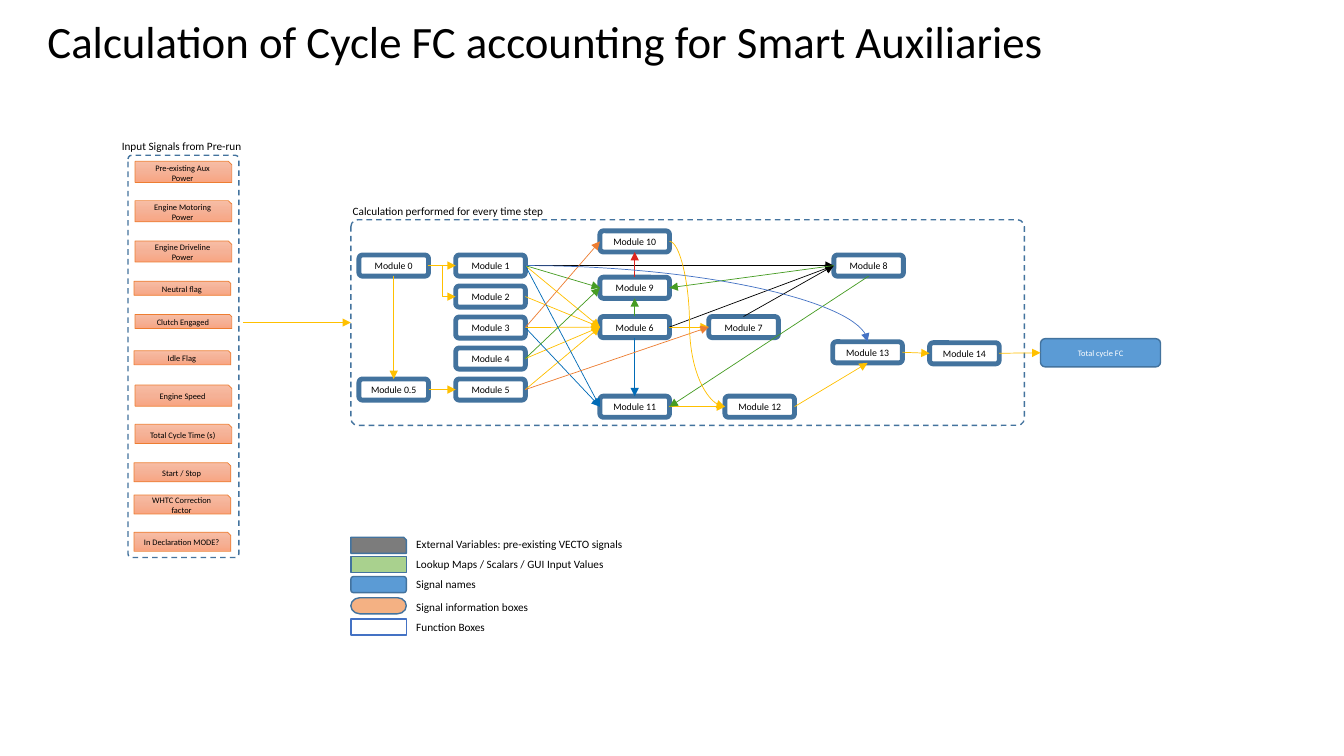
import copy
from dataclasses import dataclass

import pptx
import pptx.dml.color
import pptx.enum.dml
import pptx.enum.shapes
import pptx.enum.text
import pptx.oxml
import pptx.oxml.ns
import pptx.util

Inches = pptx.util.Inches
SHAPE = pptx.enum.shapes.MSO_SHAPE
CONNECTOR = pptx.enum.shapes.MSO_CONNECTOR
ALIGN = pptx.enum.text.PP_ALIGN
ANCHOR = pptx.enum.text.MSO_ANCHOR
TOP, LEFT, BOTTOM, RIGHT = range(4)


@dataclass(frozen=True)
class Theme:
    font: str = "Calibri"
    title: int = 32
    label: int = 8
    module: int = 7
    signal: int = 6
    black: str = "000000"
    white: str = "FFFFFF"
    outline: str = "43739E"
    blue: str = "5B9BD5"
    royal: str = "4472C4"
    teal: str = "006BB7"
    gold: str = "FFC000"
    green: str = "469C23"
    red: str = "DC241F"
    orange: str = "ED7D31"
    grey: str = "7C7C7C"
    light_green: str = "A9D18E"
    peach: str = "F4B183"
    signal_gradient: tuple = ("F7BDA5", "F5B196", "F8A582")


THEME = Theme()

FIRST_ROW, LAST_ROW = 2.53, 3.76
ROW_STEP = (LAST_ROW - FIRST_ROW) / 4
MODULES = {
    "0": (3.56, FIRST_ROW), "0.5": (3.56, LAST_ROW),
    **{str(n + 1): (4.52, FIRST_ROW + n * ROW_STEP) for n in range(5)},
    "10": (5.95, 2.29), "9": (5.95, 2.75), "6": (5.95, 3.14), "11": (5.95, 3.93),
    "7": (7.03, 3.14), "12": (7.19, 3.93),
    "8": (8.27, FIRST_ROW), "13": (8.26, 3.39), "14": (9.22, 3.4),
}

# Straight links: colour, then (source, side, target, side)
LINKS = {
    THEME.gold: [
        ("0", RIGHT, "1", LEFT), ("0", BOTTOM, "0.5", TOP), ("0.5", RIGHT, "5", LEFT),
        *[(str(n), RIGHT, "6", LEFT) for n in range(1, 6)],
        ("6", RIGHT, "7", LEFT), ("11", RIGHT, "12", LEFT), ("12", RIGHT, "13", BOTTOM),
        ("13", RIGHT, "14", LEFT), ("14", RIGHT, "total", LEFT),
    ],
    THEME.black: [("1", RIGHT, "8", LEFT), ("6", RIGHT, "8", LEFT), ("7", TOP, "8", LEFT)],
    THEME.teal: [("1", RIGHT, "11", LEFT), ("3", RIGHT, "11", LEFT), ("6", BOTTOM, "11", TOP)],
    THEME.green: [
        ("1", RIGHT, "9", LEFT), ("4", RIGHT, "9", LEFT), ("6", TOP, "9", BOTTOM),
        ("8", LEFT, "9", RIGHT), ("8", BOTTOM, "11", RIGHT),
    ],
    THEME.red: [("9", TOP, "10", BOTTOM)],
    THEME.orange: [("5", RIGHT, "7", LEFT), ("3", RIGHT, "10", LEFT)],
}

# Left, top, height
SIGNALS = {
    "Pre-existing Aux Power": (1.34, 1.6, 0.21),
    "Engine Motoring Power": (1.34, 1.99, 0.21),
    "Engine Driveline Power": (1.34, 2.39, 0.21),
    "Neutral flag": (1.33, 2.79, 0.14),
    "Clutch Engaged": (1.34, 3.12, 0.14),
    "Idle Flag": (1.33, 3.48, 0.14),
    "Engine Speed": (1.34, 3.82, 0.21),
    "Total Cycle Time (s)": (1.34, 4.21, 0.19),
    "Start / Stop": (1.33, 4.59, 0.19),
    "WHTC Correction factor": (1.33, 4.91, 0.19),
    "In Declaration MODE?": (1.33, 5.28, 0.19),
}

# Label, label top, swatch top, swatch shape, fill, outline
LEGEND = [
    ("External Variables: pre-existing VECTO signals", 5.28, 5.33,
     SHAPE.SNIP_1_RECTANGLE, THEME.grey, THEME.outline),
    ("Lookup Maps / Scalars / GUI Input Values", 5.48, 5.52,
     SHAPE.RECTANGLE, THEME.light_green, THEME.outline),
    ("Signal names", 5.68, 5.72, SHAPE.ROUNDED_RECTANGLE, THEME.blue, THEME.outline),
    ("Signal information boxes", 5.91, 5.93,
     SHAPE.FLOWCHART_TERMINATOR, THEME.peach, THEME.outline),
    ("Function Boxes", 6.11, 6.14, SHAPE.RECTANGLE, THEME.white, THEME.royal),
]


def rgb(code):
    return pptx.dml.color.RGBColor.from_string(code)


def write(frame, text, size, color=THEME.black, align=ALIGN.LEFT, anchor=ANCHOR.TOP, wrap=True):
    frame.text = text
    frame.word_wrap = wrap
    frame.vertical_anchor = anchor
    paragraph = frame.paragraphs[0]
    paragraph.alignment = align
    font = paragraph.runs[0].font
    font.name, font.size = THEME.font, pptx.util.Pt(size)
    font.color.rgb = rgb(color)


def add_label(slide, text, left, top, width):
    label = slide.shapes.add_textbox(Inches(left), Inches(top), Inches(width), Inches(0.24))
    write(label.text_frame, text, THEME.label, wrap=False)


def add_box(slide, kind, left, top, width, height, fill=None, outline=THEME.outline, weight=1):
    box = slide.shapes.add_shape(kind, Inches(left), Inches(top), Inches(width), Inches(height))
    box.shadow.inherit = False
    if fill:
        box.fill.solid()
        box.fill.fore_color.rgb = rgb(fill)
    else:
        box.fill.background()
    box.line.color.rgb = rgb(outline)
    box.line.width = pptx.util.Pt(weight)
    return box


def add_frame(slide, *bounds):
    frame = add_box(slide, SHAPE.ROUNDED_RECTANGLE, *bounds)
    frame.adjustments[0] = 0.034
    frame.line.dash_style = pptx.enum.dml.MSO_LINE.DASH
    return frame


def add_module(slide, number, left, top):
    module = add_box(slide, SHAPE.ROUNDED_RECTANGLE, left, top, 0.69, 0.21,
                     fill=THEME.white, weight=3.5)
    write(module.text_frame, f"Module {number}", THEME.module,
          align=ALIGN.CENTER, anchor=ANCHOR.MIDDLE)
    return module


def add_signal(slide, text, left, top, height):
    signal = add_box(slide, SHAPE.SNIP_1_RECTANGLE, left, top, 0.96, height,
                     outline=THEME.orange, weight=0.5)
    signal.fill.gradient()
    signal.fill.gradient_angle = 270
    stops = signal._element.spPr.find(".//" + pptx.oxml.ns.qn("a:gsLst"))
    stops.insert(1, copy.deepcopy(stops[0]))
    for index, stop in enumerate(signal.fill.gradient_stops):
        stop.position = index / 2
        stop.color.rgb = rgb(THEME.signal_gradient[index])
    write(signal.text_frame, text, THEME.signal, align=ALIGN.CENTER, anchor=ANCHOR.MIDDLE)


def side_point(box, side):
    x = {LEFT: box.left, RIGHT: box.left + box.width}.get(side, box.left + box.width // 2)
    y = {TOP: box.top, BOTTOM: box.top + box.height}.get(side, box.top + box.height // 2)
    return x, y


def add_arrow(slide, start, end, color, kind=CONNECTOR.STRAIGHT):
    arrow = slide.shapes.add_connector(kind, *start, *end)
    arrow.line.color.rgb = rgb(color)
    arrow.line.width = pptx.util.Pt(0.5)
    pptx.oxml.ns.qn("a:tailEnd")
    line = arrow.line._get_or_add_ln()
    line.append(line.makeelement(pptx.oxml.ns.qn("a:tailEnd"), {"type": "triangle"}))
    properties = arrow._element.spPr
    properties.append(properties.makeelement(pptx.oxml.ns.qn("a:effectLst"), {}))
    return arrow


def add_link(slide, source, source_side, target, target_side, color):
    """Draw a straight arrow joined to the sides of two boxes."""
    arrow = add_arrow(slide, side_point(source, source_side), side_point(target, target_side), color)
    arrow.begin_connect(source, source_side)
    arrow.end_connect(target, target_side)


def add_curves(slide, boxes):
    to_13 = add_arrow(slide, side_point(boxes["1"], RIGHT), side_point(boxes["13"], TOP),
                      THEME.royal, CONNECTOR.CURVE)
    to_13._element.spPr.prstGeom.set("prst", "curvedConnector2")
    to_12 = add_arrow(slide, side_point(boxes["10"], RIGHT), side_point(boxes["12"], LEFT),
                      THEME.gold, CONNECTOR.CURVE)
    guides = to_12._element.spPr.prstGeom.get_or_add_avLst()
    guides.append(guides.makeelement(pptx.oxml.ns.qn("a:gd"), {"name": "adj1", "fmla": "val 36100"}))


def add_title(slide, text):
    title = slide.shapes.title
    title.left, title.top, title.width, title.height = map(Inches, (0.37, 0.09, 10.29, 0.64))
    write(title.text_frame, text, THEME.title, wrap=False)


def main():
    deck = pptx.Presentation()
    deck.slide_width, deck.slide_height = Inches(13.33), Inches(7.5)
    slide = deck.slides.add_slide(deck.slide_layouts[5])
    add_title(slide, "Calculation of Cycle FC accounting for Smart Auxiliaries")

    add_label(slide, "Input Signals from Pre-run", 1.11, 1.33, 1.4)
    add_frame(slide, 1.27, 1.54, 1.1, 3.99)
    for text, bounds in SIGNALS.items():
        add_signal(slide, text, *bounds)

    add_label(slide, "Calculation performed for every time step", 3.4, 1.98, 2.14)
    calculation = add_frame(slide, 3.48, 2.18, 6.68, 2.04)
    boxes = {number: add_module(slide, number, *spot) for number, spot in MODULES.items()}
    boxes["total"] = add_box(slide, SHAPE.ROUNDED_RECTANGLE, 10.32, 3.36, 1.19, 0.28, fill=THEME.blue)
    write(boxes["total"].text_frame, "Total cycle FC", THEME.signal, color=THEME.white,
          align=ALIGN.CENTER, anchor=ANCHOR.MIDDLE)

    for color, links in LINKS.items():
        for source, source_side, target, target_side in links:
            add_link(slide, boxes[source], source_side, boxes[target], target_side, color)
    add_arrow(slide, side_point(boxes["0"], RIGHT), side_point(boxes["2"], LEFT),
              THEME.gold, CONNECTOR.ELBOW)
    add_curves(slide, boxes)
    entry = side_point(calculation, LEFT)
    add_arrow(slide, (Inches(2.41), entry[1]), entry, THEME.gold).end_connect(calculation, LEFT)

    for text, label_top, swatch_top, kind, fill, outline in LEGEND:
        add_box(slide, kind, 3.48, swatch_top, 0.55, 0.16, fill=fill, outline=outline)
        add_label(slide, text, 4.03, label_top, 2.34)
    deck.save("out.pptx")


if __name__ == "__main__":
    main()
